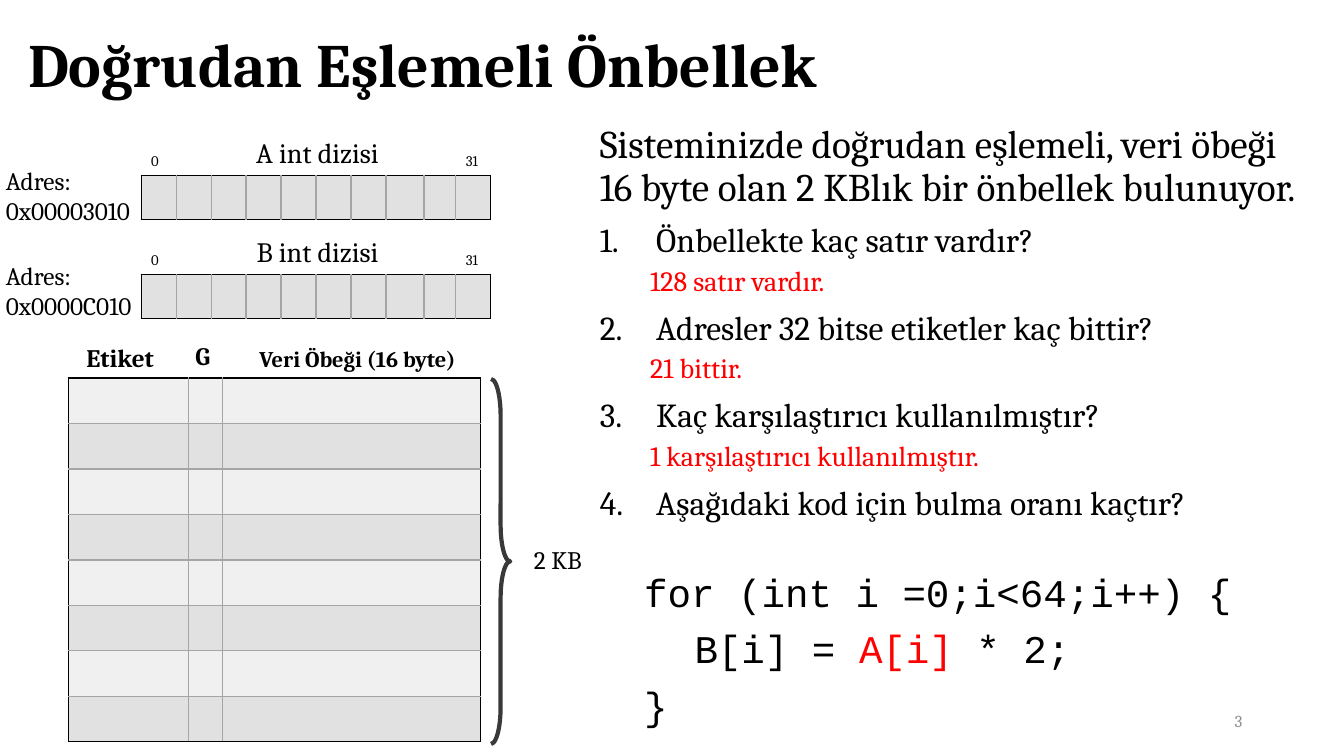
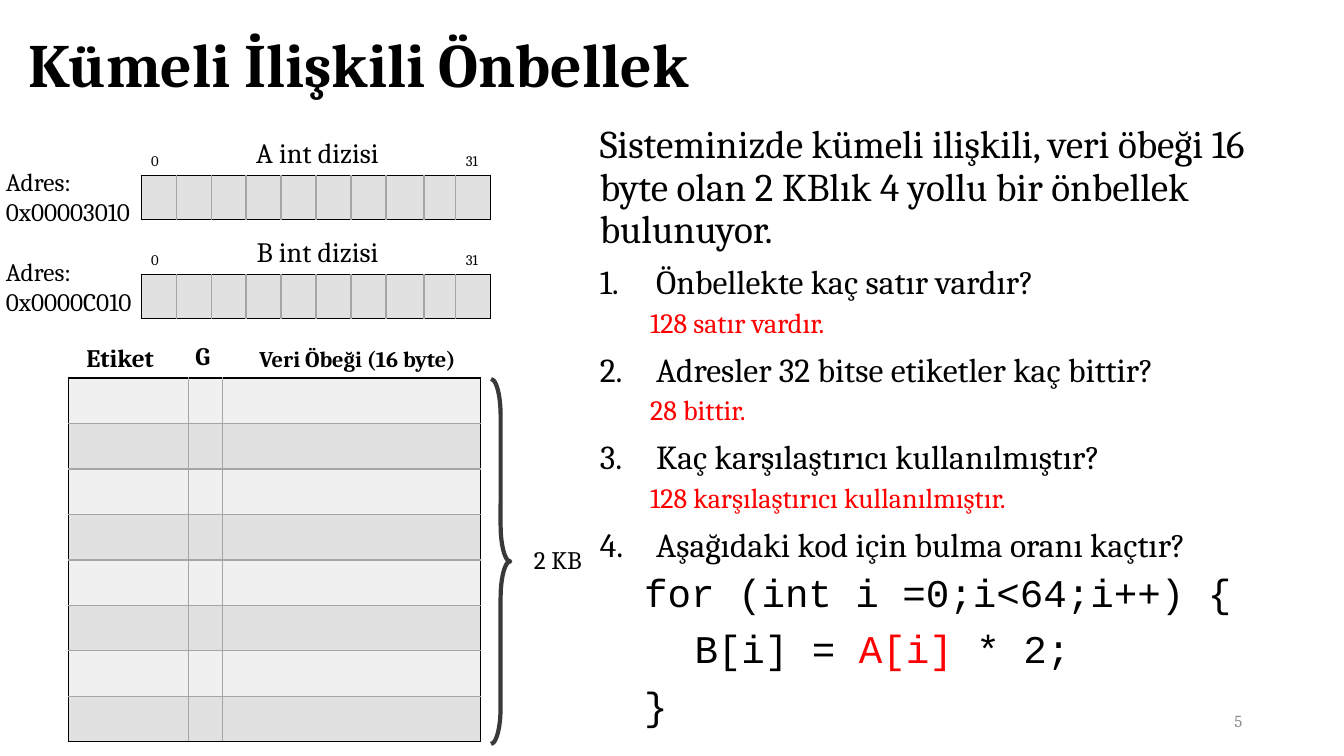
from lxml.etree import SubElement
from pptx import Presentation
from pptx.dml.color import RGBColor
from pptx.enum.shapes import MSO_SHAPE
from pptx.enum.text import MSO_ANCHOR, PP_ALIGN
from pptx.oxml.ns import qn
from pptx.util import Inches, Pt

BLACK, RED, WHITE = "000000", "FF0000", "FFFFFF"
GRID, BRACE, FOOTER = "A5A5A5", "3B3838", "8C8C8C"
BANDS = ("F0F0F0", "E1E1E1")

BASE = {"name": "Cambria", "size": Pt(18), "bold": False, "color": BLACK}
STYLES = {
    "title": {"size": Pt(44), "bold": True},
    "intro": {"size": Pt(28)},
    "question": {"size": Pt(24)},
    "answer": {"size": Pt(20), "color": RED},
    "code": {"name": "Courier New", "size": Pt(28)},
    "code_red": {"name": "Courier New", "size": Pt(28), "color": RED},
    "label": {},
    "header": {"bold": True},
    "header_small": {"size": Pt(16), "bold": True},
    "array": {"size": Pt(20)},
    "index": {"size": Pt(10.5)},
    "number": {"size": Pt(12), "color": FOOTER},
}
SPACED = {"line_spacing": 0.9, "space_before": Pt(10)}
ANSWER_SPACED = {"line_spacing": 0.9, "space_before": Pt(5), "level": 1}
CENTERED = {"alignment": PP_ALIGN.CENTER}

QUESTIONS = (
    "Önbellekte kaç satır vardır?",
    "Adresler 32 bitse etiketler kaç bittir?",
    "Kaç karşılaştırıcı kullanılmıştır?",
    "Aşağıdaki kod için bulma oranı kaçtır?",
)
CODE = (
    [("for (int i =0;i<64;i++) {", "code")],
    [("\tB[i] = ", "code"), ("A[i]", "code_red"), (" * 2;", "code")],
    [("}", "code")],
)
SLIDES = (
    {
        "title": "Doğrudan Eşlemeli Önbellek",
        "number": "3",
        "intro": "Sisteminizde doğrudan eşlemeli, veri öbeği 16 byte olan "
                 "2 KBlık bir önbellek bulunuyor.",
        "answers": ("128 satır vardır.", "21 bittir.",
                    "1 karşılaştırıcı kullanılmıştır."),
        "address_tops": (1.59, 2.53),
        "code_size": (7.18, 3.48),
    },
    {
        "title": "Kümeli İlişkili Önbellek",
        "number": "5",
        "intro": "Sisteminizde kümeli ilişkili, veri öbeği 16 byte olan "
                 "2 KBlık 4 yollu bir önbellek bulunuyor.",
        "answers": ("128 satır vardır.", "28 bittir.",
                    "128 karşılaştırıcı kullanılmıştır."),
        "address_tops": (1.6, 2.49),
        "code_size": (6.43, 1.74),
    },
)


def rgb(color):
    return RGBColor.from_string(color)


def apply(target, values):
    for name, value in values.items():
        setattr(target, name, value)


def write(paragraph, runs, layout):
    apply(paragraph, layout)
    for text, style in runs:
        run = paragraph.add_run()
        run.text = text
        font = {**BASE, **STYLES[style]}
        run.font.color.rgb = rgb(font.pop("color"))
        apply(run.font, font)


def add_text(slide, box, paragraphs, anchor=MSO_ANCHOR.TOP):
    frame = slide.shapes.add_textbox(*map(Inches, box)).text_frame
    apply(frame, {"word_wrap": True, "vertical_anchor": anchor})
    for position, (runs, layout) in enumerate(paragraphs):
        paragraph = frame.add_paragraph() if position else frame.paragraphs[0]
        write(paragraph, runs, layout)
    return frame


def add_label(slide, box, text, style="label", layout={}, anchor=MSO_ANCHOR.TOP):
    return add_text(slide, box, [([(text, style)], layout)], anchor)


def indent(paragraph, left, first=0.0, numbered=False):
    properties = paragraph._p.get_or_add_pPr()
    properties.set("marL", str(Inches(left)))
    properties.set("indent", str(Inches(first)))
    if numbered:
        SubElement(properties, qn("a:buAutoNum"), type="arabicPeriod")
    else:
        SubElement(properties, qn("a:buNone"))


def paint_cell(cell, fill, edges):
    properties = cell._tc.get_or_add_tcPr()
    for side in "LRTB":
        line = SubElement(properties, qn(f"a:ln{side}"), w=str(Pt(1)))
        if side in edges:
            solid = SubElement(line, qn("a:solidFill"))
            SubElement(solid, qn("a:srgbClr"), val=edges[side])
        else:
            SubElement(line, qn("a:noFill"))
    cell.fill.solid()
    cell.fill.fore_color.rgb = rgb(fill)


def grid_edges(row, column, first_row, last_row, last_column):
    outer = {"L": column == 0, "R": column == last_column,
             "T": row == first_row, "B": row == last_row}
    return {side: BLACK if edge else GRID for side, edge in outer.items()}


def add_grid(slide, box, row_count, widths):
    table = slide.shapes.add_table(row_count, len(widths), *map(Inches, box)).table
    apply(table, {"first_row": False, "horz_banding": False})
    for column, width in zip(table.columns, widths):
        column.width = width
    for row in table.rows:
        row.height = Inches(box[3] / row_count)
    return table


def add_array(slide, box, name):
    widths = [Inches(box[2] / 10)] * 10
    widths[7] += Inches(0.03)
    widths[8] -= Inches(0.03)
    table = add_grid(slide, box, 2, widths)
    for column in range(10):
        paint_cell(table.cell(0, column), WHITE, {"B": BLACK})
        paint_cell(table.cell(1, column), BANDS[1], grid_edges(1, column, 1, 1, 9))
    table.cell(0, 2).merge(table.cell(0, 7))
    labels = ((0, "0", "index", {}), (2, f"{name} int dizisi", "array", CENTERED),
              (9, "31", "index", {}))
    for column, text, style, layout in labels:
        cell = table.cell(0, column)
        cell.vertical_anchor = MSO_ANCHOR.BOTTOM
        write(cell.text_frame.paragraphs[0], [(text, style)], layout)


def add_arrays(slide, box, address_tops):
    left, top, width, height = box
    addresses = ("0x00003010", "0x0000C010")
    for position, (name, address) in enumerate(zip("AB", addresses)):
        add_array(slide, (left, top + 0.98 * position, width, height), name)
        add_label(slide, (left - 1.44, address_tops[position], 1.6, 0.71),
                  f"Adres: {address}")


def add_cache(slide, box):
    left, top, width, height = box
    table = add_grid(slide, box, 8, [Inches(size) for size in (1.19, 0.34, 2.56)])
    for row in range(8):
        for column in range(3):
            paint_cell(table.cell(row, column), BANDS[row % 2],
                       grid_edges(row, column, 0, 7, 2))
    add_label(slide, (left + 0.08, top - 0.4, 1.73, 0.4), "Etiket", "header")
    add_label(slide, (left + 1.16, top - 0.42, 1.22, 0.4), "G", "header")
    add_label(slide, (left + 1.63, top - 0.37, 2.47, 0.37),
              "Veri Öbeği (16 byte)", "header_small", CENTERED)
    brace = slide.shapes.add_shape(
        MSO_SHAPE.RIGHT_BRACE,
        *map(Inches, (left + width + 0.1, top + 0.01, 0.19, height + 0.01)))
    brace.shadow.inherit = False
    brace.fill.background()
    brace.line.color.rgb = rgb(BRACE)
    brace.line.width = Pt(3)
    brace.adjustments[0] = 1.91
    brace.adjustments[1] = 0.5
    add_label(slide, (left + width + 0.32, top + 1.6, 0.94, 0.4), "2 KB ",
              layout=CENTERED)


def add_questions(slide, box, intro, answers):
    paragraphs = [([(intro, "intro")], SPACED)]
    for position, question in enumerate(QUESTIONS):
        paragraphs.append(([(question, "question")], SPACED))
        for answer in answers[position:position + 1]:
            paragraphs.append(([(answer, "answer")], ANSWER_SPACED))
    frame = add_text(slide, box, paragraphs)
    for paragraph in frame.paragraphs[1:]:
        if paragraph.level:
            indent(paragraph, 0.5)
        else:
            indent(paragraph, 0.56, -0.56, numbered=True)


def add_cache_slide(presentation, content):
    slide = presentation.slides.add_slide(presentation.slide_layouts[6])
    add_label(slide, (0.18, 0.15, 12.86, 1.04), content["title"], "title",
              {"line_spacing": 0.9}, MSO_ANCHOR.MIDDLE)
    add_questions(slide, (5.85, 1.19, 7.18, 5.57), content["intro"], content["answers"])
    add_label(slide, (9.42, 6.95, 3, 0.4), content["number"], "number",
              {"alignment": PP_ALIGN.RIGHT}, MSO_ANCHOR.MIDDLE)
    add_arrays(slide, (1.4, 1.3, 3.47, 0.88), content["address_tops"])
    add_cache(slide, (0.68, 3.75, 4.09, 3.61))
    add_text(slide, (6.29, 5.64, *content["code_size"]),
             [(runs, SPACED) for runs in CODE])


presentation = Presentation()
presentation.slide_width = Inches(13.33)
presentation.slide_height = Inches(7.5)
for content in SLIDES:
    add_cache_slide(presentation, content)
presentation.save("out.pptx")
